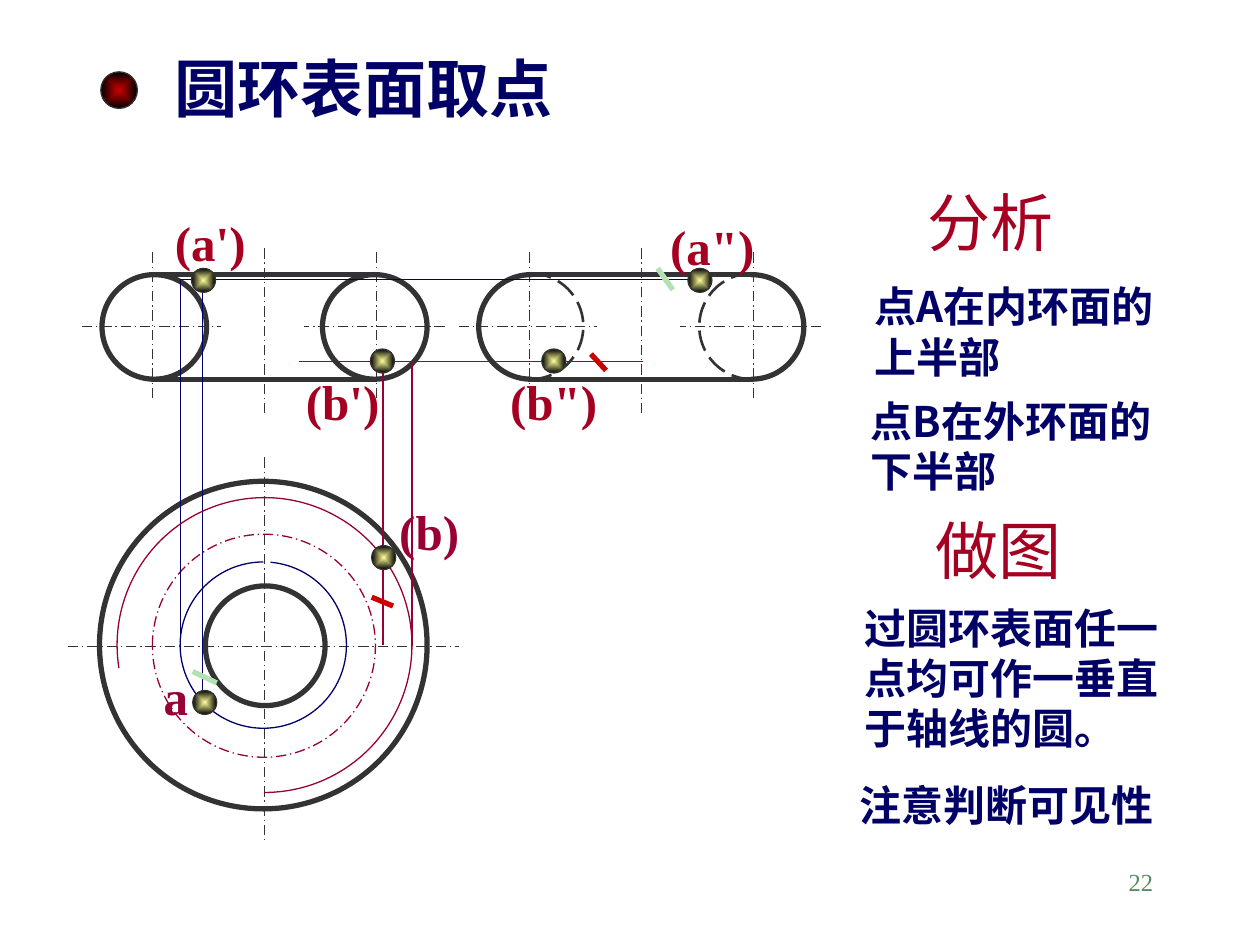
from lxml import etree
from pptx import Presentation
from pptx.dml.color import RGBColor
from pptx.enum.dml import MSO_LINE
from pptx.enum.shapes import MSO_CONNECTOR, MSO_SHAPE
from pptx.enum.text import PP_ALIGN
from pptx.oxml.ns import qn
from pptx.util import Emu, Pt

PX = 9144  # 100 px to the inch
OVAL, ARC, RECT = MSO_SHAPE.OVAL, MSO_SHAPE.ARC, MSO_SHAPE.RECTANGLE
STRAIGHT = MSO_CONNECTOR.STRAIGHT
AXIS, HIDDEN = MSO_LINE.LONG_DASH_DOT, MSO_LINE.LONG_DASH
LEFT, RIGHT = PP_ALIGN.LEFT, PP_ALIGN.RIGHT
SERIF, SANS = "Times New Roman", "Noto Sans CJK SC"
COLORS = {
    "outline": "333333", "navy": "000066", "wine": "990033",
    "crimson": "A50021", "red": "CC0000", "mint": "B3E1B3",
    "cream": "FFFF99", "black": "000000", "white": "FFFFFF",
    "number": "578963",
}
THIN, MEDIUM, THICK = 0.75, 1.5, 3


def rgb(color):
    return RGBColor.from_string(COLORS[color])


def px(*lengths):
    return [Emu(length * PX) for length in lengths]


def style_line(line, color, width, dash=None):
    line.color.rgb = rgb(color)
    line.width = Pt(width)
    if dash:
        line.dash_style = dash


def add_line(slide, x1, y1, x2, y2, color, width=THIN, dash=None):
    connector = slide.shapes.add_connector(STRAIGHT, *px(x1, y1, x2, y2))
    style_line(connector.line, color, width, dash)
    etree.SubElement(connector._element.spPr, qn("a:effectLst"))


def add_plain(slide, preset, left, top, width, height):
    shape = slide.shapes.add_shape(preset, *px(left, top, width, height))
    shape.shadow.inherit = False
    shape.fill.background()
    return shape


def add_circle(slide, left, top, size, color, width=THIN, dash=None):
    circle = add_plain(slide, OVAL, left, top, size, size)
    style_line(circle.line, color, width, dash)
    return circle


def add_arc(slide, left, top, size, start, end, color, width=THIN, dash=None):
    """Draw a clockwise arc; angles are degrees from three o'clock."""
    arc = add_plain(slide, ARC, left, top, size, size)
    arc.adjustments[0] = start * 0.6
    arc.adjustments[1] = end * 0.6
    style_line(arc.line, color, width, dash)


def add_ball(slide, left, top, size=19, core="cream"):
    """Draw a ball whose colour fades to black at the rim."""
    ball = add_circle(slide, left, top, size, "outline")
    ball.fill.gradient()
    for stop, color in zip(ball.fill.gradient_stops, (core, "black")):
        stop.color.rgb = rgb(color)
    gradient = ball._element.spPr.find(qn("a:gradFill"))
    gradient.remove(gradient.find(qn("a:lin")))
    fade = etree.SubElement(gradient, qn("a:path"), path="shape")
    etree.SubElement(fade, qn("a:fillToRect"), l="50000", t="50000",
                     r="50000", b="50000")


def add_text(slide, left, top, width, height, lines, size, color,
             bold=False, font=SERIF, wrap=True, align=LEFT):
    frame = slide.shapes.add_textbox(*px(left, top, width, height)).text_frame
    frame.word_wrap = wrap
    frame.text = lines
    for paragraph in frame.paragraphs:
        paragraph.alignment = align
        for run in paragraph.runs:
            run.font.size = Pt(size)
            run.font.bold = bold
            run.font.name = font
            run.font.color.rgb = rgb(color)


def draw_elevation(slide, left, top, inner_hidden):
    """Draw the ring seen from the side; its box is 258 by 83 px."""
    tube, pitch = 83, 175
    bottom, middle = top + tube, top + 41
    for x in (left + pitch, left):
        add_circle(slide, x, top, tube, "outline", THICK)
    for x in (left + 40, left + 218):
        add_line(slide, x, top + 98, x, top - 20, "outline", dash=AXIS)
    if inner_hidden:
        mask = add_plain(slide, RECT, left + 42, top - 7, 174, 94)
        mask.fill.solid()
        mask.fill.fore_color.rgb = rgb("white")
        mask.line.fill.background()
    for y in (top, bottom):
        add_line(slide, left + 39, y, left + 218, y, "outline", THICK)
    for start, end in ((-16, 94), (272, 160)):
        add_line(slide, left + start, middle, left + end, middle, "outline", dash=AXIS)
    add_line(slide, left + 129, top + 110, left + 129, top - 23, "outline", dash=AXIS)
    add_arc(slide, left - 1, top - 1, 84, 270, 90, "outline", MEDIUM, HIDDEN)
    add_arc(slide, left + pitch, top - 1, 84, 90, 270, "outline", MEDIUM, HIDDEN)


def draw_plan(slide, left, top):
    """Draw the ring seen from above; its box is 260 px square."""
    add_line(slide, left - 25, top + 131, left + 285, top + 131, "outline", dash=AXIS)
    add_line(slide, left + 131, top - 19, left + 131, top + 288, "outline", dash=AXIS)
    add_circle(slide, left, top, 260, "outline", THICK)
    add_circle(slide, left + 42, top + 42, 177, "wine", dash=AXIS)
    add_circle(slide, left + 84, top + 83, 95, "outline", THICK)


def add_labels(slide, labels, color):
    for left, top, width, label in labels:
        add_text(slide, left, top, width, 57, label, 28, color, bold=True, wrap=False)


def draw_point_a(slide):
    add_arc(slide, 143, 446, 132, 275, 270, "navy")
    add_line(slide, 143, 512, 143, 222, "navy")
    add_line(slide, 161, 559, 161, 222, "navy")
    add_line(slide, 143, 222, 558, 222, "navy")
    for left, top in ((153, 548), (152, 213), (546, 213)):
        add_ball(slide, left, top)
    add_line(slide, 153, 533, 172, 542, "mint", THICK)
    add_line(slide, 522, 213, 534, 230, "mint", THICK)
    add_labels(slide, [(120, 524, 40, "a")], "wine")
    add_labels(slide, [(129, 164, 85, "(a')"), (522, 167, 95, '(a")')], "crimson")


def draw_point_b(slide):
    add_arc(slide, 93, 395, 234, 171, 90, "wine")
    add_line(slide, 327, 513, 327, 287, "wine")
    add_line(slide, 304, 512, 304, 287, "wine")
    add_line(slide, 237, 287, 510, 287, "wine")
    for left, top in ((295, 433), (294, 277), (430, 277)):
        add_ball(slide, left, top)
    add_line(slide, 295, 474, 312, 481, "red", THICK)
    add_line(slide, 469, 281, 481, 294, "red", THICK)
    add_labels(slide, [(307, 393, 75, "(b)")], "wine")
    add_labels(slide, [(233, 290, 85, "(b')"), (395, 290, 95, '(b")')], "crimson")


def write_title(slide, left, top):
    add_ball(slide, left, top + 23, 29, "red")
    add_text(slide, left + 49, top, 539, 70, "圆环表面取点", 36, "navy", bold=True)


def write_notes(slide, left, top):
    for dx, dy, heading in ((54, 0, "分析"), (61, 260, "做图")):
        add_text(slide, left + dx, top + dy, 160, 70, heading, 36, "crimson")
    notes = [
        (12, 77, 270, 90, "点A在内环面的\n上半部"),
        (9, 168, 319, 90, "点B在外环面的\n下半部"),
        (4, 332, 324, 130, "过圆环表面任一\n点均可作一垂直\n于轴线的圆。"),
        (0, 473, 328, 50, "注意判断可见性"),
    ]
    for dx, dy, width, height, note in notes:
        add_text(slide, left + dx, top + dy, width, height, note, 24, "navy",
                 bold=True, font=SANS)


def main():
    deck = Presentation()
    deck.slide_width, deck.slide_height = px(1000, 750)
    slide = deck.slides.add_slide(deck.slide_layouts[6])
    draw_plan(slide, 79, 382)
    draw_elevation(slide, 81, 218, inner_hidden=False)
    draw_elevation(slide, 380, 218, inner_hidden=True)
    draw_point_a(slide)
    draw_point_b(slide)
    write_title(slide, 80, 34)
    write_notes(slide, 672, 141)
    add_text(slide, 717, 683, 208, 50, "22", 14, "number", align=RIGHT)
    deck.save("out.pptx")


if __name__ == "__main__":
    main()
